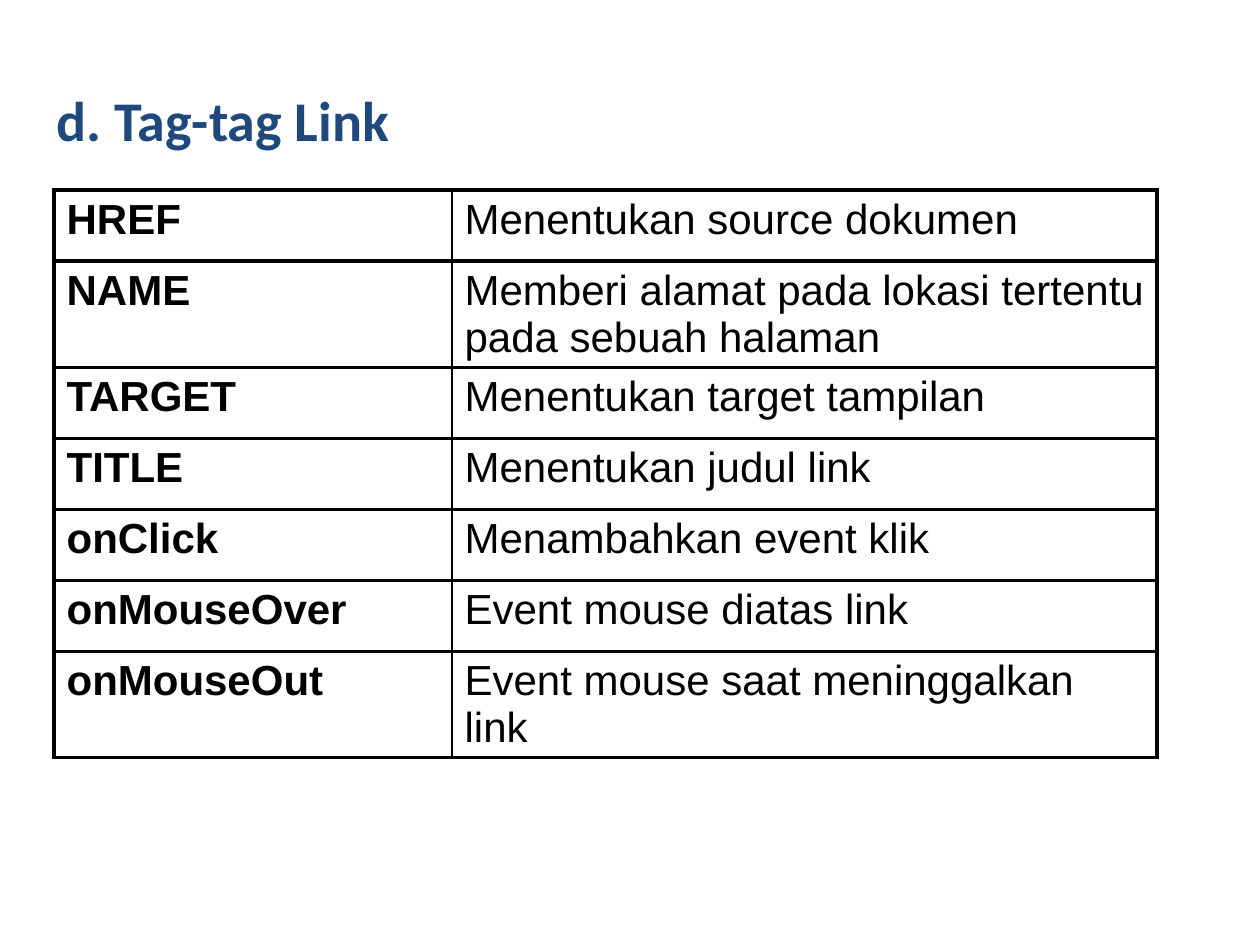
from dataclasses import dataclass

from lxml.etree import SubElement
from pptx import Presentation
from pptx.dml.color import RGBColor as Color
from pptx.enum.text import MSO_ANCHOR as Anchor, PP_ALIGN as Align
from pptx.oxml.ns import qn
from pptx.util import Pt

EMU_PER_PX = 914400 // 126
TITLE_ONLY_LAYOUT = 5


@dataclass(frozen=True)
class Theme:
    title_color: str = "1F497D"
    ink: str = "000000"
    title_font: str = "Calibri"
    body_font: str = "Arial"
    title_size: int = 32
    body_size: int = 24
    thick_line: float = 2.25
    thin_line: float = 1


THEME = Theme()

LINK_ATTRIBUTES = [
    ("HREF", "Menentukan source dokumen"),
    ("NAME", "Memberi alamat pada lokasi tertentu pada sebuah halaman"),
    ("TARGET", "Menentukan target tampilan"),
    ("TITLE", "Menentukan judul link"),
    ("onClick", "Menambahkan event klik"),
    ("onMouseOver", "Event mouse diatas link"),
    ("onMouseOut", "Event mouse saat meninggalkan link"),
]


def px(length):
    return length * EMU_PER_PX


def add_run(paragraph, text, font_name, size, color, bold):
    run = paragraph.add_run()
    run.text = text
    run.font.name = font_name
    run.font.size = Pt(size)
    run.font.bold = bold
    run.font.color.rgb = Color.from_string(color)


def set_title(slide, text, left, top, width, height):
    title = slide.shapes.title
    title.left, title.top = px(left), px(top)
    title.width, title.height = px(width), px(height)
    title.text_frame.vertical_anchor = Anchor.MIDDLE
    paragraph = title.text_frame.paragraphs[0]
    paragraph.alignment = Align.LEFT
    add_run(paragraph, text, THEME.title_font, THEME.title_size,
            THEME.title_color, True)


def set_borders(cell, left, right):
    properties = cell._tc.get_or_add_tcPr()
    widths = {"L": left, "R": right, "T": THEME.thick_line, "B": THEME.thick_line}
    for side, width in widths.items():
        line = SubElement(properties, qn(f"a:ln{side}"), w=str(Pt(width)))
        fill = SubElement(line, qn("a:solidFill"))
        SubElement(fill, qn("a:srgbClr"), val=THEME.ink)


def fill_cell(cell, text, bold, left_line, right_line):
    set_borders(cell, left_line, right_line)
    cell.fill.background()
    add_run(cell.text_frame.paragraphs[0], text, THEME.body_font,
            THEME.body_size, THEME.ink, bold)


def add_attribute_table(slide, rows, left, top, column_widths, row_height):
    frame = slide.shapes.add_table(
        len(rows), len(column_widths), px(left), px(top),
        px(sum(column_widths)), px(row_height * len(rows)))
    table = frame.table
    table.first_row = False
    table.horz_banding = False
    for column, width in zip(table.columns, column_widths):
        column.width = px(width)
    for row, (name, description) in zip(table.rows, rows):
        row.height = px(row_height)
        name_cell, description_cell = row.cells
        fill_cell(name_cell, name, True, THEME.thick_line, THEME.thin_line)
        fill_cell(description_cell, description, False,
                  THEME.thin_line, THEME.thick_line)


def main():
    presentation = Presentation()
    presentation.slide_width = px(1260)
    presentation.slide_height = px(945)
    slide = presentation.slides.add_slide(
        presentation.slide_layouts[TITLE_ONLY_LAYOUT])
    set_title(slide, "d. Tag-tag Link", left=44, top=49, width=456, height=141)
    add_attribute_table(slide, LINK_ATTRIBUTES, left=54, top=190,
                        column_widths=(398, 705), row_height=71)
    presentation.save("out.pptx")


if __name__ == "__main__":
    main()
